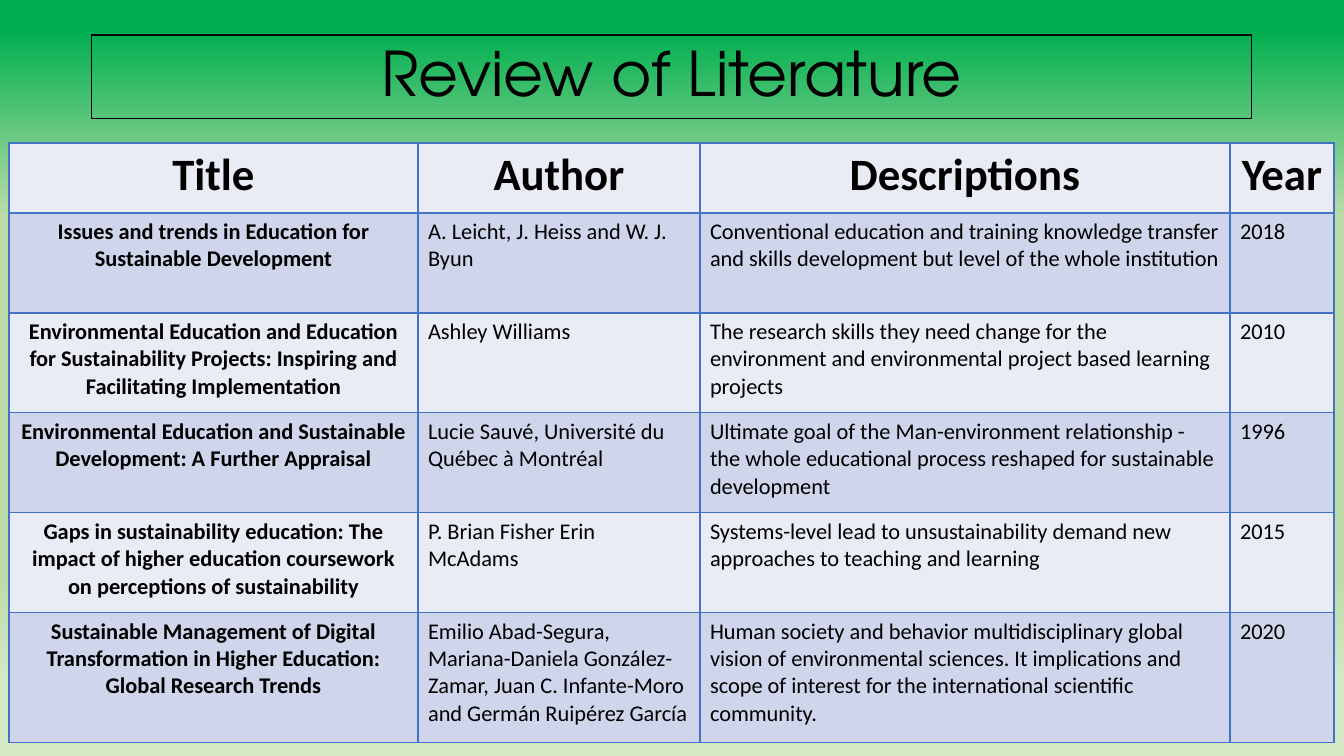
from copy import deepcopy
from dataclasses import dataclass

from lxml.etree import SubElement
from pptx import Presentation
from pptx.dml.color import RGBColor
from pptx.enum.text import MSO_ANCHOR, PP_ALIGN
from pptx.oxml.ns import qn
from pptx.slide import Slide
from pptx.table import _Cell
from pptx.text.text import TextFrame
from pptx.util import Emu, Pt

PX_PER_INCH = 100.8
BLACK = "000000"
BORDER = "4472C4"
BANDS = ("E9EBF5", "CFD5EA")
BACKGROUND_STOPS = ((0.04, "00B050"), (0.29, "BEDCAA"), (0.77, "BEDCAA"), (0.90, "D4E8C6"))
HEADINGS = ("Title", "Author", "Descriptions", "Year")
COLUMN_WIDTHS = (409, 282, 530, 104)
ROW_HEIGHTS = (70, 100, 100, 100, 100, 130)


@dataclass(frozen=True)
class Study:
    title: str
    author: str
    description: str
    year: str


STUDIES = (
    Study(
        "Issues and trends in Education for Sustainable Development",
        "A. Leicht, J. Heiss and W. J. Byun",
        "Conventional education and training knowledge transfer and skills development "
        "but level of the whole institution",
        "2018",
    ),
    Study(
        "Environmental Education and Education for Sustainability Projects: "
        "Inspiring and Facilitating Implementation",
        "Ashley Williams",
        "The research skills they need change for the environment and environmental "
        "project based learning projects",
        "2010",
    ),
    Study(
        "Environmental Education and Sustainable Development: A Further Appraisal",
        "Lucie Sauvé, Université du Québec à Montréal",
        "Ultimate goal of the Man-environment relationship - the whole educational "
        "process reshaped for sustainable development",
        "1996",
    ),
    Study(
        "Gaps in sustainability education: The impact of higher education coursework "
        "on perceptions of sustainability",
        "P. Brian Fisher Erin McAdams",
        "Systems-level lead to unsustainability demand new approaches to teaching and learning",
        "2015",
    ),
    Study(
        "Sustainable Management of Digital Transformation in Higher Education: "
        "Global Research Trends",
        "Emilio Abad-Segura, Mariana-Daniela González-Zamar, Juan C. Infante-Moro "
        "and Germán Ruipérez García",
        "Human society and behavior multidisciplinary global vision of environmental "
        "sciences. It implications and scope of interest for the international "
        "scientific community.",
        "2020",
    ),
)


def px(length: int) -> Emu:
    return Emu(round(length * 914400 / PX_PER_INCH))


def color(value: str) -> RGBColor:
    return RGBColor.from_string(value)


def write(frame: TextFrame, text: str, *, size: int, font: str = "Calibri",
          bold: bool = False, centered: bool = False, spacing: float = 1.0) -> None:
    paragraph = frame.paragraphs[0]
    paragraph.alignment = PP_ALIGN.CENTER if centered else PP_ALIGN.LEFT
    paragraph.line_spacing = spacing
    run = paragraph.add_run()
    run.text = text
    run.font.size = Pt(size)
    run.font.name = font
    run.font.bold = bold
    run.font.color.rgb = color(BLACK)


def paint_background(slide: Slide) -> None:
    fill = slide.background.fill
    fill.gradient()
    fill.gradient_angle = 270
    stop_list = slide.element.xpath(".//a:gsLst")[0]
    for _ in BACKGROUND_STOPS[2:]:
        stop_list.append(deepcopy(stop_list[0]))
    for stop, (position, value) in zip(fill.gradient_stops, BACKGROUND_STOPS):
        stop.position = position
        stop.color.rgb = color(value)


def draw_heading(slide: Slide) -> None:
    heading = slide.shapes.add_textbox(px(92), px(35), px(1160), px(84))
    heading.line.color.rgb = color(BLACK)
    heading.line.width = Pt(0.75)
    heading.text_frame.word_wrap = True
    heading.text_frame.vertical_anchor = MSO_ANCHOR.MIDDLE
    write(heading.text_frame, "Review of Literature", size=44,
          font="TeX Gyre Adventor", centered=True, spacing=0.9)


def style_cell(cell: _Cell, band: str) -> None:
    cell.fill.solid()
    cell.fill.fore_color.rgb = color(band)
    properties = cell._tc.get_or_add_tcPr()
    for index, side in enumerate(("lnL", "lnR", "lnT", "lnB")):
        border = SubElement(properties, qn(f"a:{side}"), w=str(Pt(1)))
        SubElement(SubElement(border, qn("a:solidFill")), qn("a:srgbClr"), val=BORDER)
        properties.insert(index, border)


def draw_studies(slide: Slide) -> None:
    rows = [HEADINGS] + [(s.title, s.author, s.description, s.year) for s in STUDIES]
    studies = slide.shapes.add_table(
        len(rows), len(HEADINGS), px(9), px(143),
        px(sum(COLUMN_WIDTHS)), px(sum(ROW_HEIGHTS)),
    ).table
    studies.first_row = False
    studies.horz_banding = False
    for column, width in zip(studies.columns, COLUMN_WIDTHS):
        column.width = px(width)
    for row, height in zip(studies.rows, ROW_HEIGHTS):
        row.height = px(height)
    for row_index, texts in enumerate(rows):
        for column_index, text in enumerate(texts):
            cell = studies.cell(row_index, column_index)
            style_cell(cell, BANDS[row_index % 2])
            emphasized = row_index == 0 or column_index == 0
            write(cell.text_frame, text, size=16 if row_index else 32,
                  bold=emphasized, centered=emphasized)


def main() -> None:
    presentation = Presentation()
    presentation.slide_width = px(1344)
    presentation.slide_height = px(756)
    slide = presentation.slides.add_slide(presentation.slide_layouts[6])
    paint_background(slide)
    draw_heading(slide)
    draw_studies(slide)
    presentation.save("out.pptx")


if __name__ == "__main__":
    main()
